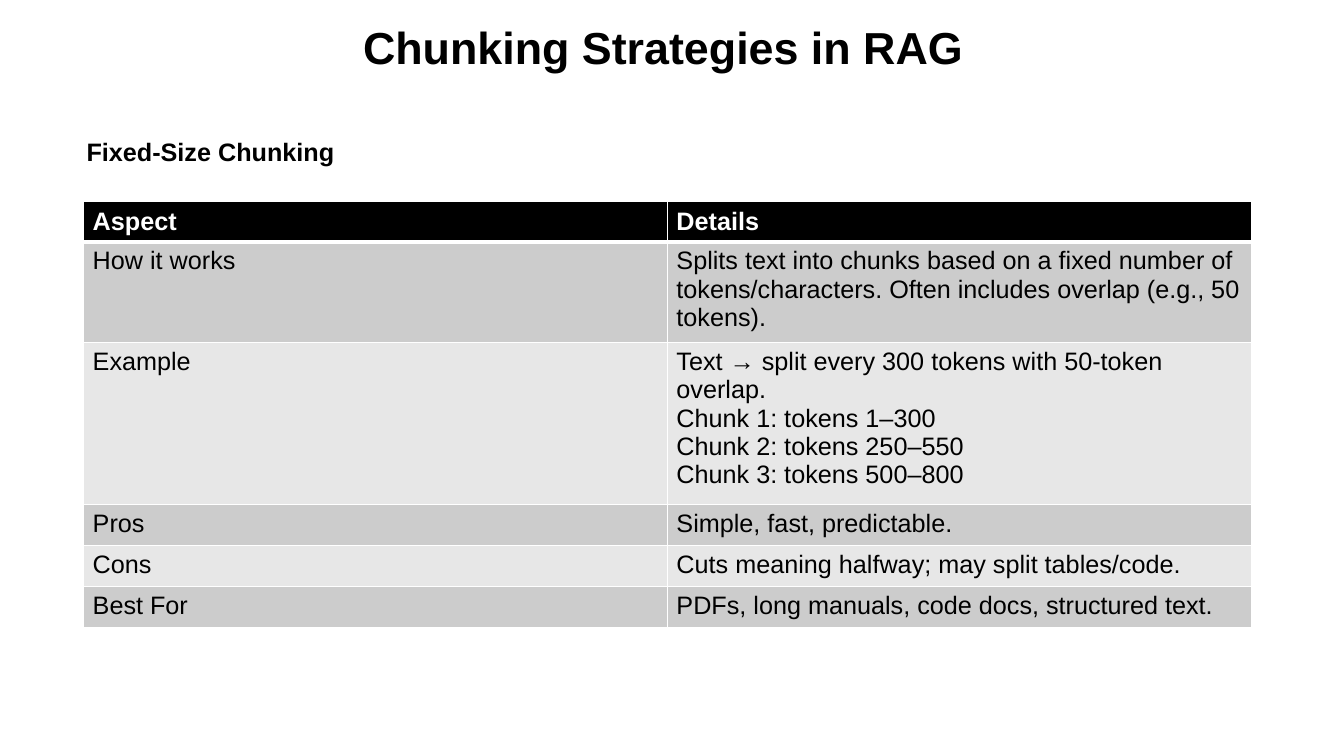
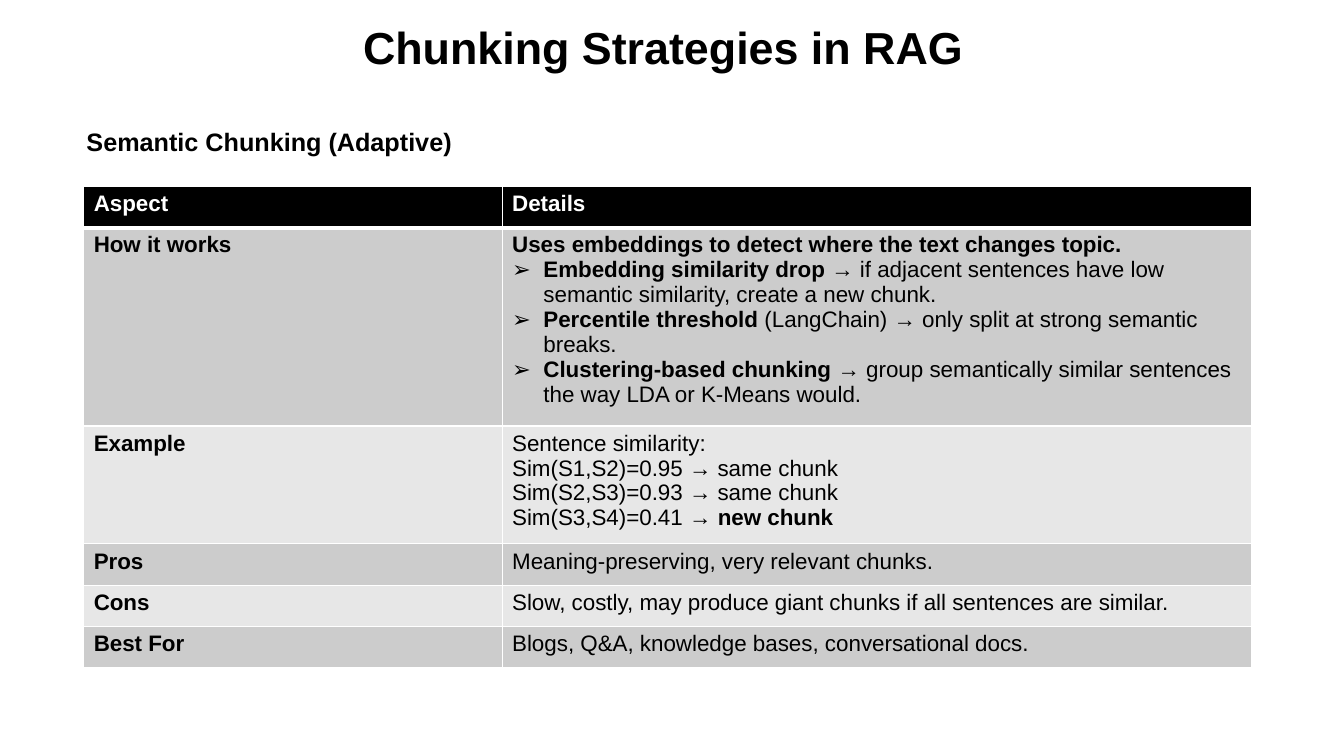
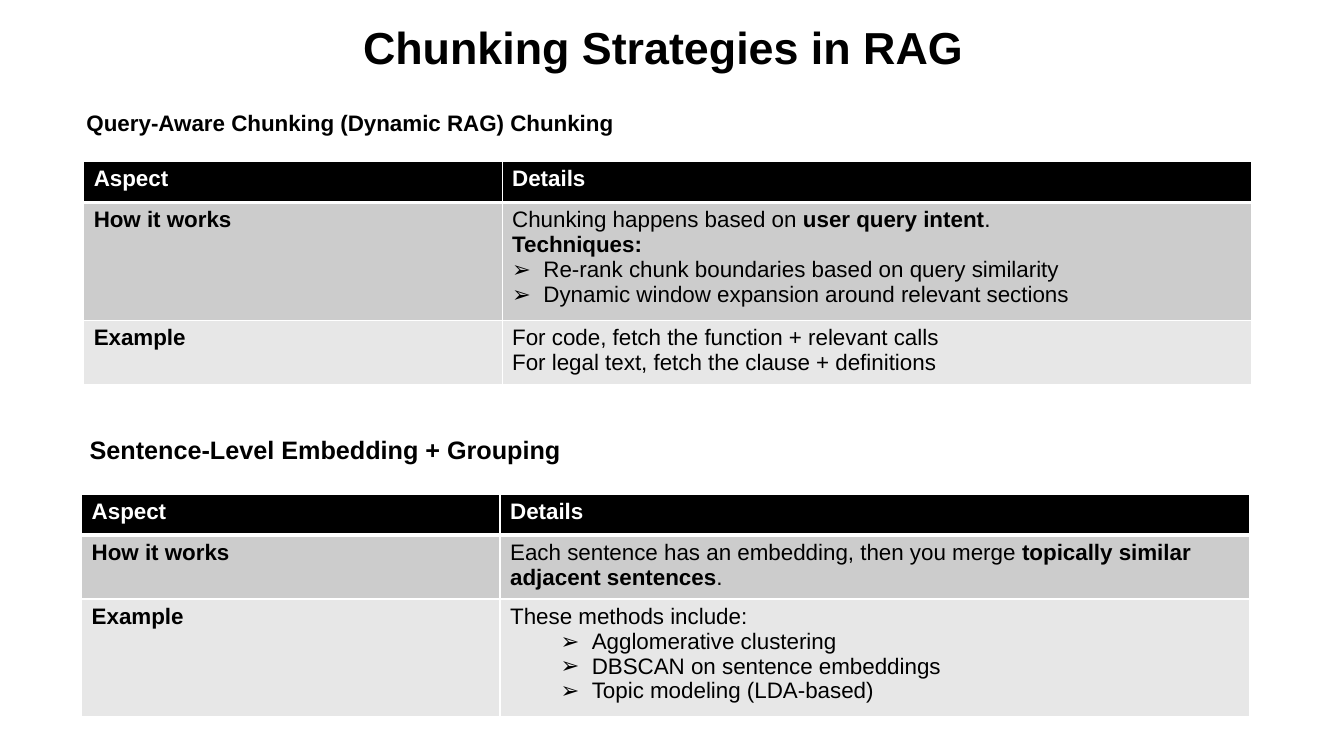
from lxml.etree import SubElement
from pptx import Presentation
from pptx.dml.color import RGBColor
from pptx.enum.text import MSO_ANCHOR, PP_ALIGN
from pptx.oxml.ns import qn
from pptx.util import Inches, Pt

BLACK = RGBColor(0x00, 0x00, 0x00)
WHITE = RGBColor(0xFF, 0xFF, 0xFF)
BANDS = [RGBColor(0xCC, 0xCC, 0xCC), RGBColor(0xE7, 0xE7, 0xE7)]
FONT = "Arial"
TITLE = "Chunking Strategies in RAG"
HEADER = ("Aspect", ["Details"])
HALVES = (5.79, 5.79)
NARROW_WIDE = (4.15, 7.43)
HANGING = 0.31
BULLET, SUB_BULLET = 0.31, 0.81

FIXED = [
    ("How it works", ["Splits text into chunks based on a fixed number of tokens/characters. "
                      "Often includes overlap (e.g., 50 tokens)."]),
    ("Example", ["Text → split every 300 tokens with 50-token overlap.\n"
                 "Chunk 1: tokens 1–300\nChunk 2: tokens 250–550\nChunk 3: tokens 500–800"]),
    ("Pros", ["Simple, fast, predictable."]),
    ("Cons", ["Cuts meaning halfway; may split tables/code."]),
    ("Best For", ["PDFs, long manuals, code docs, structured text."]),
]
SEMANTIC = [
    ("*How it works*", [
        "*Uses embeddings to detect where the text changes topic.*",
        (BULLET, "*Embedding similarity drop* → if adjacent sentences have low "
                 "semantic similarity, create a new chunk."),
        (BULLET, "*Percentile threshold* (LangChain) → only split at strong semantic breaks."),
        (BULLET, "*Clustering-based chunking* → group semantically similar sentences "
                 "the way LDA or K-Means would."),
    ]),
    ("*Example*", ["Sentence similarity:\nSim(S1,S2)=0.95 → same chunk\n"
                   "Sim(S2,S3)=0.93 → same chunk\nSim(S3,S4)=0.41 → *new chunk*"]),
    ("*Pros*", ["Meaning-preserving, very relevant chunks."]),
    ("*Cons*", ["Slow, costly, may produce giant chunks if all sentences are similar."]),
    ("*Best For*", ["Blogs, Q&A, knowledge bases, conversational docs."]),
]
QUERY_AWARE = [
    ("*How it works*", [
        "Chunking happens based on *user query intent*.",
        "*Techniques:*",
        (BULLET, "Re-rank chunk boundaries based on query similarity"),
        (BULLET, "Dynamic window expansion around relevant sections"),
    ]),
    ("*Example*", ["For code, fetch the function + relevant calls",
                   "For legal text, fetch the clause + definitions"]),
]
SENTENCE_LEVEL = [
    ("*How it works*", ["Each sentence has an embedding, then you merge "
                        "*topically similar adjacent sentences*."]),
    ("*Example*", [
        "These methods include:",
        (SUB_BULLET, "Agglomerative clustering"),
        (SUB_BULLET, "DBSCAN on sentence embeddings"),
        (SUB_BULLET, "Topic modeling (LDA-based)"),
    ]),
]

SLIDES = [
    [dict(heading="Fixed-Size Chunking", box=(0.76, 1.3, 2.68, 0.4), heading_size=18,
          rows=FIXED, at=(0.83, 2), cols=HALVES, heights=(0.4, 1, 1.58, 0.41, 0.41, 0.41),
          size=18, margin=0.09, header_anchor=MSO_ANCHOR.MIDDLE)],
    [dict(heading="Semantic Chunking (Adaptive)", box=(0.76, 1.2, 3.86, 0.4), heading_size=18,
          rows=SEMANTIC, at=(0.83, 1.85), cols=NARROW_WIDE,
          heights=(0.41, 1.96, 1.17, 0.41, 0.41, 0.41))],
    [dict(heading="Query-Aware Chunking (Dynamic RAG) Chunking", box=(0.76, 1.03, 5.5, 0.37),
          heading_size=16, rows=QUERY_AWARE, at=(0.83, 1.6), cols=NARROW_WIDE,
          heights=(0.41, 1.17, 0.63)),
     dict(heading="Sentence-Level Embedding + Grouping", box=(0.79, 4.26, 4.92, 0.4),
          heading_size=18, rows=SENTENCE_LEVEL, at=(0.81, 4.9), cols=NARROW_WIDE,
          heights=(0.41, 0.63, 1.17))],
]


def add_bullet(p, indent):
    pPr = p._p.get_or_add_pPr()
    pPr.set("marL", str(Inches(indent)))
    pPr.set("indent", str(-Inches(HANGING)))
    if indent == SUB_BULLET:
        p.level = 1
    SubElement(pPr, qn("a:buFont")).set("typeface", FONT)
    SubElement(pPr, qn("a:buChar")).set("char", "➢")


def write(tf, paragraphs, size=16, color=BLACK, align=PP_ALIGN.LEFT, spacing=1.0):
    for i, text in enumerate(paragraphs):
        p = tf.paragraphs[0] if i == 0 else tf.add_paragraph()
        p.alignment, p.line_spacing = align, spacing
        if isinstance(text, tuple):
            indent, text = text
            add_bullet(p, indent)
        for j, part in enumerate(text.split("*")):
            for k, line in enumerate(part.split("\n")):
                if k:
                    p.add_line_break()
                if line:
                    r = p.add_run()
                    r.text = line
                    r.font.name, r.font.size = FONT, Pt(size)
                    r.font.bold = j % 2 == 1
                    r.font.color.rgb = color


def add_text(s, box, text, wrap=True, **fmt):
    tf = s.shapes.add_textbox(*map(Inches, box)).text_frame
    tf.word_wrap = wrap
    tf.vertical_anchor = MSO_ANCHOR.MIDDLE
    write(tf, [f"*{text}*"], **fmt)


def add_borders(cell, row):
    tcPr = cell._tc.get_or_add_tcPr()
    for side in "LRTB":
        thick = (side, row) in (("B", 0), ("T", 1))
        ln = SubElement(tcPr, qn(f"a:ln{side}"), w=str(Pt(3 if thick else 1)))
        fill = SubElement(ln, qn("a:solidFill"))
        SubElement(fill, qn("a:srgbClr"), val=str(WHITE))


def add_grid(s, rows, at, cols, heights, size=16, margin=0.1, header_anchor=MSO_ANCHOR.TOP):
    frame = (*at, sum(cols), sum(heights))
    table = s.shapes.add_table(len(heights), len(cols), *map(Inches, frame)).table
    for column, width in zip(table.columns, cols):
        column.width = Inches(width)
    for row, height in zip(table.rows, heights):
        row.height = Inches(height)
    header = (f"*{HEADER[0]}*", [f"*{HEADER[1][0]}*"])
    for i, (aspect, details) in enumerate([header, *rows]):
        for j, paragraphs in enumerate(([aspect], details)):
            cell = table.cell(i, j)
            add_borders(cell, i)
            cell.fill.solid()
            cell.fill.fore_color.rgb = BANDS[(i - 1) % 2] if i else BLACK
            cell.margin_left = cell.margin_right = Inches(margin)
            cell.margin_top = cell.margin_bottom = Inches(0.05)
            cell.vertical_anchor = MSO_ANCHOR.TOP if i else header_anchor
            write(cell.text_frame, paragraphs, size=size, color=BLACK if i else WHITE)


def add_section(s, heading, box, heading_size, **grid):
    add_text(s, box, heading, wrap=False, size=heading_size)
    add_grid(s, **grid)


def main():
    prs = Presentation()
    prs.slide_width, prs.slide_height = Inches(13.33), Inches(7.5)
    for sections in SLIDES:
        s = prs.slides.add_slide(prs.slide_layouts[6])
        add_text(s, (0.83, 0.17, 11.5, 0.65), TITLE, size=32,
                 align=PP_ALIGN.CENTER, spacing=0.9)
        for section in sections:
            add_section(s, **section)
    prs.save("out.pptx")


if __name__ == "__main__":
    main()
